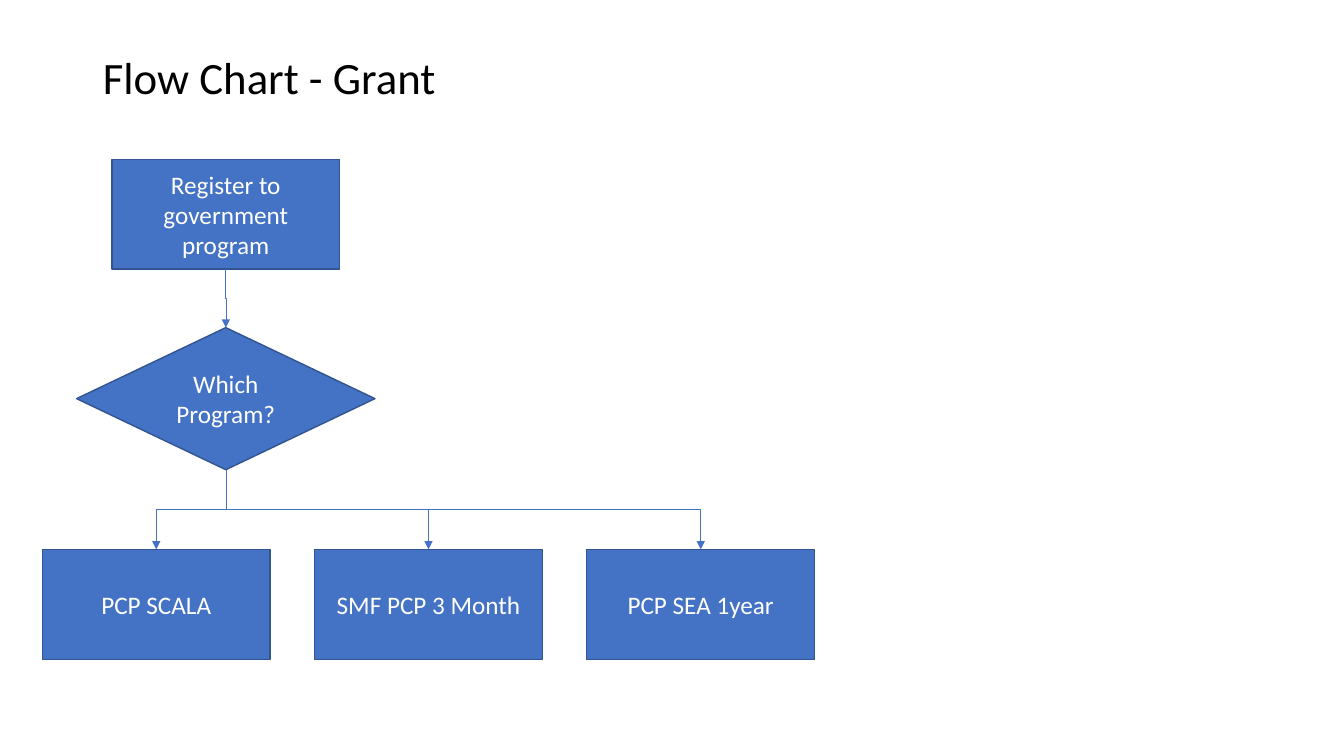
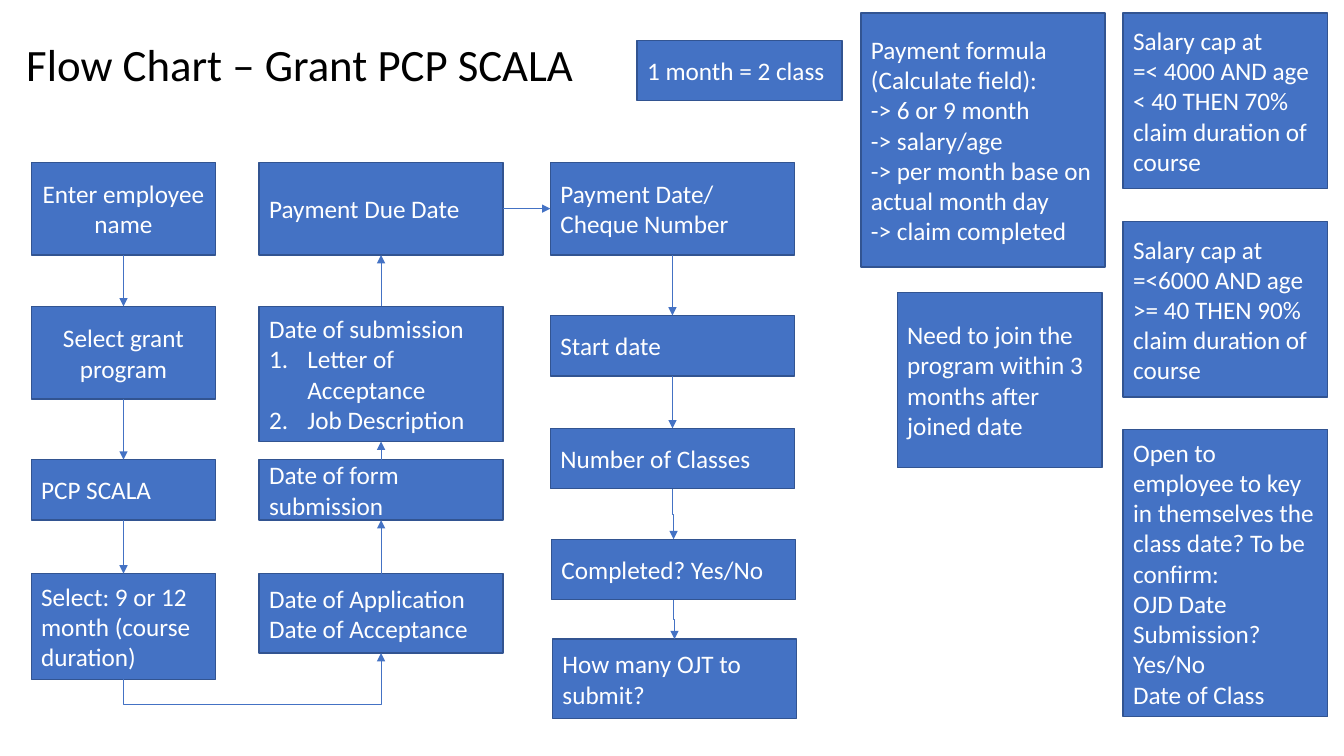
from lxml.etree import SubElement
from pptx import Presentation
from pptx.dml.color import RGBColor
from pptx.enum.shapes import MSO_CONNECTOR as Connector, MSO_SHAPE as Shape
from pptx.enum.text import MSO_ANCHOR as Anchor, MSO_AUTO_SIZE as AutoSize, PP_ALIGN as Align
from pptx.oxml.ns import qn
from pptx.util import Inches, Pt

# Shared look
BLACK = RGBColor(0x00, 0x00, 0x00)
WHITE = RGBColor(0xFF, 0xFF, 0xFF)
BLUE = RGBColor(0x44, 0x72, 0xC4)
DARK_BLUE = RGBColor(0x32, 0x54, 0x91)
FONT = "Calibri"
TITLE_SIZE, STEP_SIZE = Pt(32), Pt(18)
TITLE_ONLY = 5

# Connection sites
TOP, LEFT, BOTTOM, RIGHT = range(4)


def style_text(frame, size, color, align):
    frame.word_wrap = True
    frame.auto_size = AutoSize.NONE
    frame.vertical_anchor = Anchor.MIDDLE
    for paragraph in frame.paragraphs:
        paragraph.alignment = align
        for run in paragraph.runs:
            run.font.name = FONT
            run.font.size = size
            run.font.color.rgb = color


def add_titled_slide(prs, text, left, top):
    slide = prs.slides.add_slide(prs.slide_layouts[TITLE_ONLY])
    title = slide.shapes.title
    title.left, title.top = Inches(left), Inches(top)
    title.width, title.height = Inches(11.5), Inches(0.79)
    title.text_frame.text = text
    title.text_frame.paragraphs[0].line_spacing = 0.9
    style_text(title.text_frame, TITLE_SIZE, BLACK, Align.LEFT)
    return slide


def add_step(slide, text, left, top, width, height, align=Align.LEFT, kind=Shape.RECTANGLE):
    step = slide.shapes.add_shape(kind, Inches(left), Inches(top), Inches(width), Inches(height))
    step.shadow.inherit = False
    step.fill.solid()
    step.fill.fore_color.rgb = BLUE
    step.line.color.rgb = DARK_BLUE
    step.line.width = Pt(1)
    step.text_frame.text = text
    style_text(step.text_frame, STEP_SIZE, WHITE, align)
    return step


def number_paragraphs(paragraphs):
    for paragraph in paragraphs:
        properties = paragraph._p.get_or_add_pPr()
        properties.set("marL", str(Inches(0.38)))
        properties.set("indent", str(-Inches(0.38)))
        SubElement(properties, qn("a:buAutoNum"), type="arabicPeriod")


def site_point(step, site):
    """Middle of one side of a step."""
    across = {LEFT: 0, RIGHT: 2}.get(site, 1)
    down = {TOP: 0, BOTTOM: 2}.get(site, 1)
    return step.left + step.width * across // 2, step.top + step.height * down // 2


def bend_vertically(arrow, start, end, bend):
    """Turn an elbow so that it leaves and arrives vertically."""
    (x1, y1), (x2, y2) = start, end
    length, offset = abs(y2 - y1), abs(x2 - x1)
    arrow.left, arrow.top = (x1 + x2 - length) // 2, (y1 + y2 - offset) // 2
    arrow.width, arrow.height = length, offset
    properties = arrow._element.spPr
    frame = properties.find(qn("a:xfrm"))
    frame.set("rot", str(90 * 60000))
    frame.set("flipH", str(int(y2 < y1)))
    frame.set("flipV", str(int(x2 > x1)))
    adjustments = properties.find(qn("a:prstGeom")).get_or_add_avLst()
    SubElement(adjustments, qn("a:gd"), name="adj1", fmla=f"val {round(bend * 100000)}")


def add_arrow(slide, source, target, leave=BOTTOM, arrive=TOP, bend=0.5):
    start, end = site_point(source, leave), site_point(target, arrive)
    straight = start[0] == end[0] or start[1] == end[1]
    kind = Connector.STRAIGHT if straight else Connector.ELBOW
    arrow = slide.shapes.add_connector(kind, *start, *end)
    arrow.begin_connect(source, leave)
    arrow.end_connect(target, arrive)
    if not straight:
        bend_vertically(arrow, start, end, bend)
    arrow.line.color.rgb = BLUE
    arrow.line.width = Pt(0.5)
    SubElement(arrow.line._get_or_add_ln(), qn("a:tailEnd"), type="triangle")
    SubElement(arrow._element.spPr, qn("a:effectLst"))


def add_column(slide, left, width, steps):
    """Steps given as (text, top, height[, align])."""
    return [add_step(slide, text, left, top, width, height, *align)
            for text, top, height, *align in steps]


def chain(slide, steps, leave=BOTTOM, arrive=TOP):
    for source, target in zip(steps, steps[1:]):
        add_arrow(slide, source, target, leave, arrive)


def build_grant_overview(prs):
    slide = add_titled_slide(prs, "Flow Chart - Grant", 0.92, 0.4)
    width, height = 2.26, 1.09
    register = add_step(slide, "Register to government program", 1.11, 1.58,
                        width, height, Align.CENTER)
    decision = add_step(slide, "Which Program?", 0.76, 3.25, 2.96, 1.41,
                        Align.CENTER, Shape.DIAMOND)
    add_arrow(slide, register, decision)
    for i, name in enumerate(("PCP SCALA", "SMF PCP 3 Month", "PCP SEA 1year")):
        program = add_step(slide, name, 0.42 + 2.7 * i, 5.45, width, height, Align.CENTER)
        add_arrow(slide, decision, program)


def build_scala_flow(prs):
    slide = add_titled_slide(prs, "Flow Chart – Grant PCP SCALA", 0.16, 0.27)
    wide, note_width, note_height = 2.42, 2.03, 1.74

    # Choosing the program, downwards
    selection = add_column(slide, 0.31, 1.83, [
        ("Enter employee name", 1.61, 0.92, Align.CENTER),
        ("Select grant program", 3.04, 0.92, Align.CENTER),
        ("PCP SCALA", 4.56, 0.6),
        ("Select: 9 or 12 month (course duration)", 5.69, 1.05),
    ])
    chain(slide, selection)

    # Application dates, upwards
    application = add_column(slide, 2.57, wide, [
        ("Date of Application\nDate of Acceptance", 5.69, 0.79),
        ("Date of form submission", 4.56, 0.6),
        ("Date of submission\nLetter of Acceptance\nJob Description", 3.04, 1.34),
        ("Payment Due Date", 1.61, 0.92),
    ])
    number_paragraphs(application[2].text_frame.paragraphs[1:])
    chain(slide, application, TOP, BOTTOM)
    add_arrow(slide, selection[-1], application[0], BOTTOM, BOTTOM, bend=-0.96)

    # Payment and classes, downwards
    classes = add_column(slide, 5.46, wide, [
        ("Payment Date/\nCheque Number", 1.61, 0.92),
        ("Start date", 3.13, 0.6),
        ("Number of Classes", 4.25, 0.6),
    ])
    classes.append(add_step(slide, "Completed? Yes/No", 5.47, 5.35, wide, 0.6))
    classes.append(add_step(slide, "How many OJT to submit?", 5.48, 6.34, wide, 0.79))
    chain(slide, classes)
    add_arrow(slide, application[-1], classes[0], RIGHT, LEFT)

    # Rules and notes
    add_step(slide, "1 month = 2 class", 6.32, 0.4, note_width, 0.6)
    add_step(slide, "Payment formula\n(Calculate field):\n-> 6 or 9 month\n-> salary/age\n"
             "-> per month base on actual month day\n-> claim completed",
             8.54, 0.13, wide, 2.52)
    add_step(slide, "Need to join the program within 3 months after joined date",
             8.9, 2.9, note_width, note_height)
    add_column(slide, 11.14, note_width, [
        ("Salary cap at\n=< 4000 AND age < 40 THEN 70% claim duration of course",
         0.13, note_height),
        ("Salary cap at\n=<6000 AND age >= 40 THEN 90% claim duration of course",
         2.2, note_height),
        ("Open to employee to key in themselves the class date? To be confirm:\n"
         "OJD Date Submission? Yes/No\nDate of Class", 4.26, 2.85),
    ])


def main():
    prs = Presentation()
    prs.slide_width, prs.slide_height = Inches(13.33), Inches(7.5)
    build_grant_overview(prs)
    build_scala_flow(prs)
    prs.save("out.pptx")


if __name__ == "__main__":
    main()
